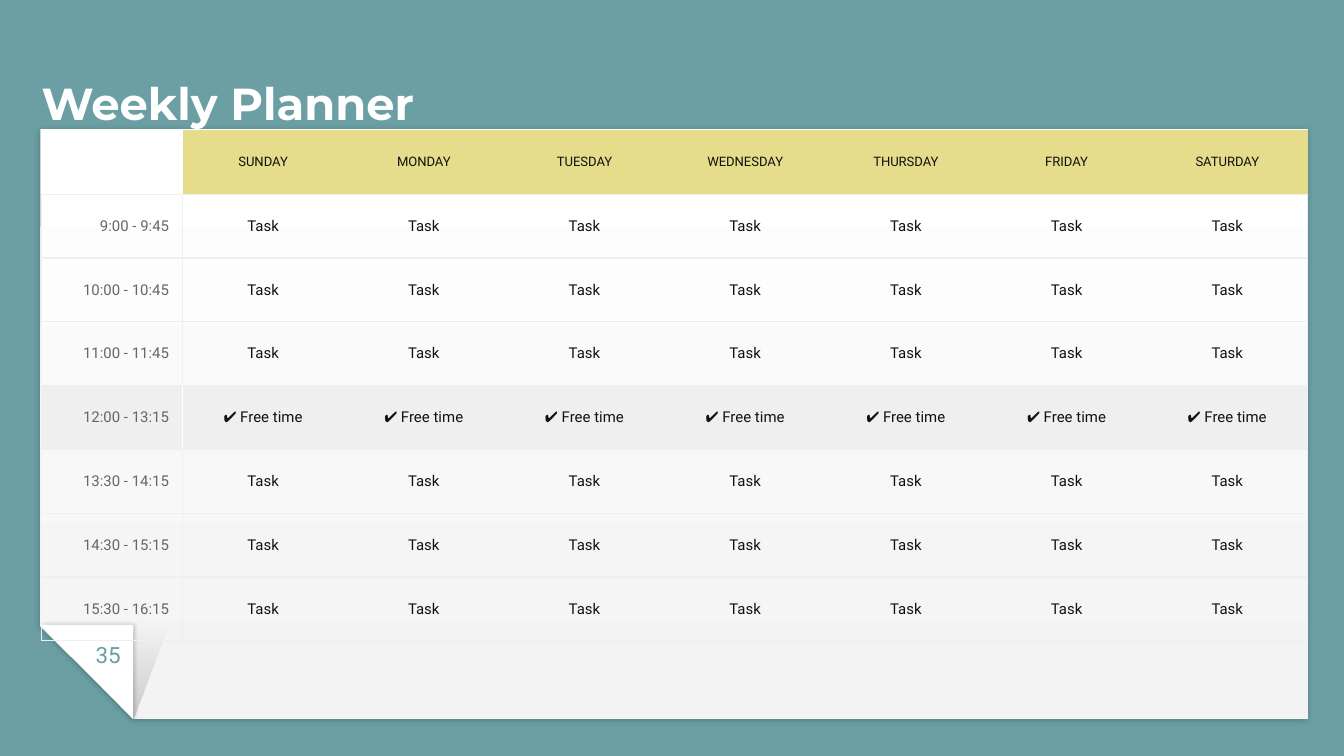
from lxml import etree
from pptx import Presentation
from pptx.dml.color import RGBColor
from pptx.enum.shapes import MSO_SHAPE
from pptx.enum.text import MSO_ANCHOR, PP_ALIGN
from pptx.oxml import parse_xml
from pptx.oxml.ns import nsdecls, qn
from pptx.util import Inches, Pt

SNIP, FOLD = MSO_SHAPE.SNIP_1_RECTANGLE, MSO_SHAPE.RIGHT_TRIANGLE
LEFT, MID, RIGHT = PP_ALIGN.LEFT, PP_ALIGN.CENTER, PP_ALIGN.RIGHT
TOP, CENTER, BOTTOM = MSO_ANCHOR.TOP, MSO_ANCHOR.MIDDLE, MSO_ANCHOR.BOTTOM

TEAL, WHITE, BLACK, INK = "6B9FA4", "FFFFFF", "000000", "111111"
GOLD, GRAY, RULE, PALE = "E6DD8C", "666666", "EFEFEF", "F3F3F3"
DAYS = ["SUNDAY", "MONDAY", "TUESDAY", "WEDNESDAY", "THURSDAY", "FRIDAY", "SATURDAY"]
HOURS = ["9:00 - 9:45", "10:00 - 10:45", "11:00 - 11:45", "12:00 - 13:15",
         "13:30 - 14:15", "14:30 - 15:15", "15:30 - 16:15"]
BREAK = "12:00 - 13:15"


def color(code):
    return RGBColor.from_string(code)


def write(frame, text, size=8, hue=INK, font="Roboto", bold=False, align=MID):
    para = frame.paragraphs[0]
    para.alignment = align
    run = para.add_run()
    run.text = text
    run.font.size, run.font.name, run.font.bold = Pt(size), font, bold
    run.font.color.rgb = color(hue)


def tint(code, alpha):
    return f'<a:srgbClr val="{code}"><a:alpha val="{alpha * 1000}"/></a:srgbClr>'


class Page:
    def __init__(self, deck):
        self.slide = deck.slides.add_slide(deck.slide_layouts[6])
        self.fill(self.slide.background, TEAL)

    def fill(self, item, code=None):
        if code:
            item.fill.solid()
            item.fill.fore_color.rgb = color(code)
        else:
            item.fill.background()

    def shape(self, kind, box, code=None, fade=None, shadow=None, flip=False):
        item = self.slide.shapes.add_shape(kind, *map(Inches, box))
        item.rotation = 180
        item.line.fill.background()
        item.shadow.inherit = False
        self.fill(item, code)
        props = item._element.spPr
        if flip:
            props.xfrm.set("flipH", "1")
        if fade:
            start, end, angle = fade
            props.replace(props.find(qn("a:noFill")), parse_xml(
                f'<a:gradFill {nsdecls("a")} rotWithShape="1"><a:gsLst>'
                f'<a:gs pos="0">{tint(*start)}</a:gs><a:gs pos="100000">{tint(*end)}</a:gs>'
                f'</a:gsLst><a:lin ang="{angle * 60000}" scaled="0"/></a:gradFill>'))
        if shadow:
            blur, gap, angle = shadow
            props.find(qn("a:effectLst")).append(parse_xml(
                f'<a:outerShdw {nsdecls("a")} blurRad="{Pt(blur)}" dist="{Pt(gap)}" '
                f'dir="{angle * 60000}" algn="bl" rotWithShape="0">{tint(BLACK, 20)}</a:outerShdw>'))
        return item

    def text(self, box, text, inset=0.1, anchor=TOP, **style):
        frame = self.slide.shapes.add_textbox(*map(Inches, box)).text_frame
        frame.word_wrap = True
        frame.vertical_anchor = anchor
        frame.margin_left = frame.margin_right = Inches(inset)
        frame.margin_top = frame.margin_bottom = Inches(inset)
        write(frame, text, **style)

    def table(self, box, rows, cols, first):
        grid = self.slide.shapes.add_table(rows, cols, *map(Inches, box)).table
        grid.first_row = grid.horz_banding = False
        for col in grid.columns:
            col.width = Inches((box[2] - first) / (cols - 1))
        grid.columns[0].width = Inches(first)
        for row in grid.rows:
            row.height = Inches(box[3] / rows)
        return grid

    def cell(self, cell, text="", code=None, edges=None, **style):
        cell.vertical_anchor = CENTER
        cell.margin_left = cell.margin_right = Inches(0.1)
        cell.margin_top = cell.margin_bottom = Inches(0.1)
        self.fill(cell, code)
        if text:
            write(cell.text_frame, text, **style)
        else:
            cell.text_frame.paragraphs[0].font.size = Pt(8)
        props = cell._tc.get_or_add_tcPr()
        for spot, side in enumerate("LRTB"):
            line = parse_xml(f'<a:ln{side} {nsdecls("a")} w="{Pt(0.75)}"/>')
            if side in edges:
                ink = etree.SubElement(line, qn("a:solidFill"))
                etree.SubElement(ink, qn("a:srgbClr"), val=edges[side])
            else:
                etree.SubElement(line, qn("a:noFill"))
            props.insert(spot, line)


def main():
    # Widescreen, 16 to 9
    deck = Presentation()
    deck.slide_width, deck.slide_height = Inches(10), Inches(10 * 9 / 16)
    page = Page(deck)

    # Paper with a folded corner
    paper = page.shape(SNIP, (0.3, 0.96, 9.43, 4.39), shadow=(3.4, 0.8, 90),
                       fade=((WHITE, 100), (PALE, 100), 270))
    paper.adjustments[0] = 0.158
    page.shape(FOLD, (0.3, 4.65, 0.69, 0.7), WHITE, shadow=(2.2, 0.8, 0))
    page.shape(FOLD, (0.99, 4.65, 0.26, 0.7), flip=True,
               fade=((BLACK, 17), (BLACK, 0), 90))

    # Title and page number
    page.text((0.31, 0.39, 9.19, 0.57), "Weekly Planner", inset=0, anchor=BOTTOM,
              size=24, hue=WHITE, font="Montserrat", bold=True, align=LEFT)
    page.text((0.55, 4.67, 0.51, 0.34), "35", size=12, hue=TEAL)

    # Header row
    grid = page.table((0.31, 0.97, 9.42, 3.8), len(HOURS) + 1, len(DAYS) + 1, 1.05)
    page.cell(grid.cell(0, 0), edges={"B": RULE})
    for col, day in enumerate(DAYS, 1):
        page.cell(grid.cell(0, col), day, GOLD, {"B": RULE}, size=7)

    # Hours and tasks
    for row, hour in enumerate(HOURS, 1):
        free = hour == BREAK
        code, split = (RULE, WHITE) if free else (None, RULE)
        flat = {"T": RULE, "B": RULE}
        page.cell(grid.cell(row, 0), hour, code, {**flat, "L": RULE, "R": split},
                  hue=GRAY, align=RIGHT)
        for col in range(1, len(DAYS) + 1):
            ends = {1: {"L": split}, len(DAYS): {"R": RULE}}.get(col, {})
            page.cell(grid.cell(row, col), "✔ Free time" if free else "Task",
                      code, {**flat, **ends})

    deck.save("out.pptx")


if __name__ == "__main__":
    main()
